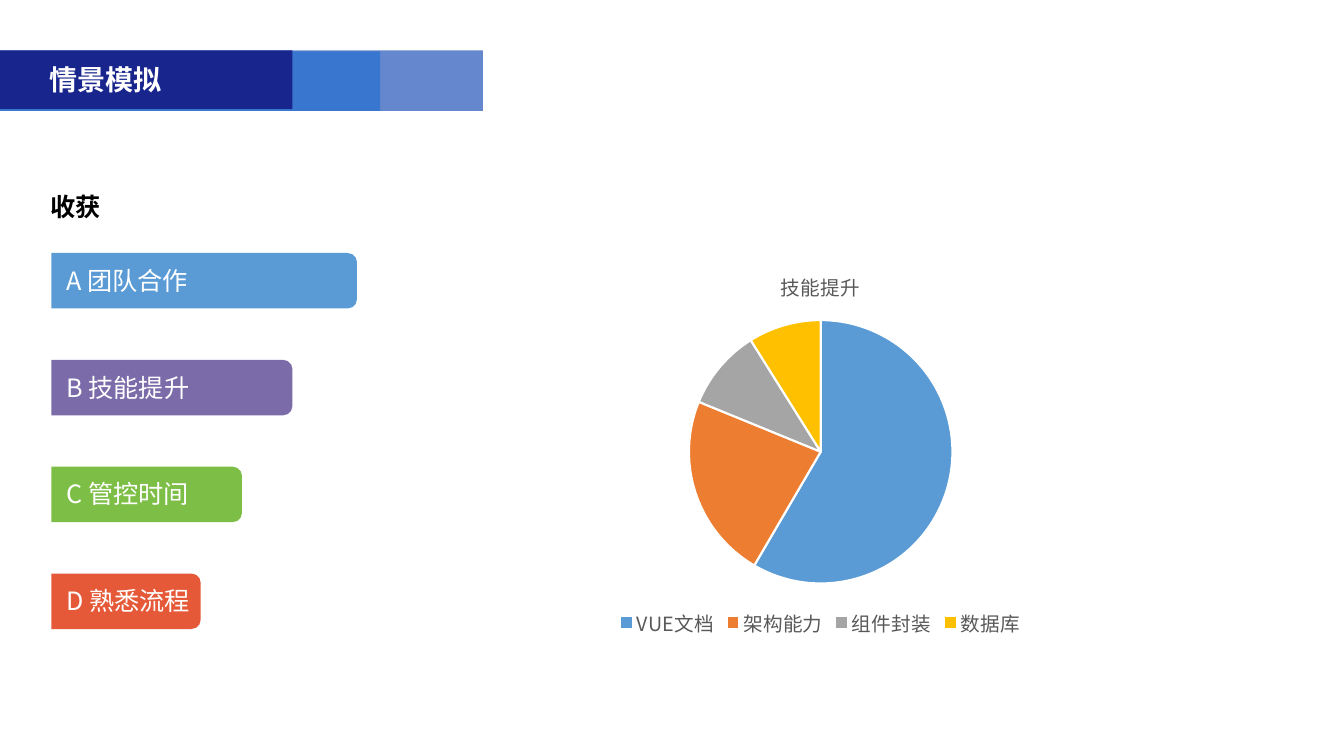
from lxml import etree
from pptx import Presentation
from pptx import util as u
from pptx.chart.data import CategoryChartData
from pptx.dml.color import RGBColor
from pptx.enum import chart as charts, shapes, text
from pptx.oxml.ns import qn

WHITE = RGBColor(0xFF, 0xFF, 0xFF)
BLACK = RGBColor(0x00, 0x00, 0x00)
GREY = RGBColor(0x59, 0x59, 0x59)
PALE_BLUE = RGBColor(0x65, 0x87, 0xCE)
MID_BLUE = RGBColor(0x39, 0x76, 0xCF)
NAVY = RGBColor(0x18, 0x25, 0x8D)
SKY = RGBColor(0x5B, 0x9B, 0xD5)
PURPLE = RGBColor(0x7B, 0x6B, 0xA9)
GREEN = RGBColor(0x7D, 0xBE, 0x46)
RED = RGBColor(0xE5, 0x59, 0x38)
ORANGE = RGBColor(0xED, 0x7D, 0x31)
SILVER = RGBColor(0xA5, 0xA5, 0xA5)
GOLD = RGBColor(0xFF, 0xC0, 0x00)


class SlideBuilder:
    face = "Noto Sans CJK SC"

    def __init__(self, slide):
        self.slide = slide

    def style(self, font, size, color, bold=False):
        font.name = self.face
        font.size = u.Pt(size)
        font.bold = bold
        font.color.rgb = color
        latin = font._rPr.find(qn("a:latin"))
        latin.addnext(etree.Element(qn("a:ea"), typeface=self.face))

    def fill_text(self, holder, wording, size, color, bold=False):
        frame = holder.text_frame
        frame.word_wrap = True
        frame.auto_size = text.MSO_AUTO_SIZE.NONE
        frame.vertical_anchor = text.MSO_ANCHOR.MIDDLE
        frame.margin_left = frame.margin_right = u.Inches(0.1)
        frame.margin_top = frame.margin_bottom = 0
        line = frame.paragraphs[0]
        line.alignment = text.PP_ALIGN.LEFT
        run = line.add_run()
        run.text = wording
        self.style(run.font, size, color, bold)

    def title(self, wording, left, top, width, height):
        heading = self.slide.shapes.title
        heading.left, heading.top = u.Inches(left), u.Inches(top)
        heading.width, heading.height = u.Inches(width), u.Inches(height)
        self.slide.shapes._spTree.append(heading._element)
        self.fill_text(heading, wording, 20, WHITE, True)

    def label(self, wording, left, top, width, height, color, bold=False):
        box = self.slide.shapes.add_textbox(
            u.Inches(left), u.Inches(top), u.Inches(width), u.Inches(height))
        self.fill_text(box, wording, 18, color, bold)

    def block(self, preset, left, top, width, height, color):
        block = self.slide.shapes.add_shape(
            preset, u.Inches(left), u.Inches(top), u.Inches(width), u.Inches(height))
        block.shadow.inherit = False
        block.fill.solid()
        block.fill.fore_color.rgb = color
        block.line.fill.background()
        return block

    def band(self, top, width, height, color):
        band = self.block(shapes.MSO_SHAPE.ROUNDED_RECTANGLE, 0, top, width, height, color)
        band.adjustments[0] = 0

    def bar(self, left, top, length, thickness, color):
        shift = (length - thickness) / 2
        bar = self.block(shapes.MSO_SHAPE.ROUND_2_SAME_RECTANGLE,
                         left + shift, top - shift, thickness, length, color)
        bar.rotation = 90

    def pie(self, wording, slices, left, top, width, height):
        data = CategoryChartData()
        data.categories = [name for name, _, _ in slices]
        data.add_series("Series 1", [value for _, value, _ in slices])
        chart = self.slide.shapes.add_chart(
            charts.XL_CHART_TYPE.PIE, u.Inches(left), u.Inches(top),
            u.Inches(width), u.Inches(height), data).chart
        self.style(chart.font, 10, BLACK)
        chart.has_title = True
        caption = chart.chart_title.text_frame.paragraphs[0].add_run()
        caption.text = wording
        self.style(caption.font, 14, GREY)
        chart.has_legend = True
        chart.legend.position = charts.XL_LEGEND_POSITION.BOTTOM
        chart.legend.include_in_layout = False
        self.style(chart.legend.font, 14, GREY)
        plot = chart.plots[0]
        plot.vary_by_categories = True
        for index, (_, _, color) in enumerate(slices):
            wedge = plot.series[0].points[index].format
            wedge.fill.solid()
            wedge.fill.fore_color.rgb = color
            wedge.line.color.rgb = WHITE
            wedge.line.width = u.Pt(1.5)


def main():
    deck = Presentation()
    deck.slide_width, deck.slide_height = u.Inches(13.33), u.Inches(7.5)
    page = SlideBuilder(deck.slides.add_slide(deck.slide_layouts[5]))

    page.band(0.5, 4.79, 0.6, PALE_BLUE)
    page.band(0.51, 3.77, 0.59, MID_BLUE)
    page.band(0.5, 2.9, 0.58, NAVY)
    page.title("情景模拟", 0.39, 0.57, 3.38, 0.44)
    page.label("收获", 0.4, 1.85, 4, 0.4, BLACK, True)

    gains = [
        ("A 团队合作", 3.03, SKY),
        ("B 技能提升", 2.39, PURPLE),
        ("C 管控时间", 1.89, GREEN),
        ("D 熟悉流程", 1.48, RED),
    ]
    for row, (gain, length, color) in enumerate(gains):
        top = 2.51 + 1.06 * row
        page.bar(0.51, top, length, 0.55, color)
        page.label(gain, 0.56, top + 0.07, 3.05, 0.4, WHITE)

    skills = [
        ("VUE文档", 59, SKY),
        ("架构能力", 23, ORANGE),
        ("组件封装", 10, SILVER),
        ("数据库", 9, GOLD),
    ]
    page.pie("技能提升", skills, 5.53, 2.51, 5.22, 3.85)
    deck.save("out.pptx")


if __name__ == "__main__":
    main()
